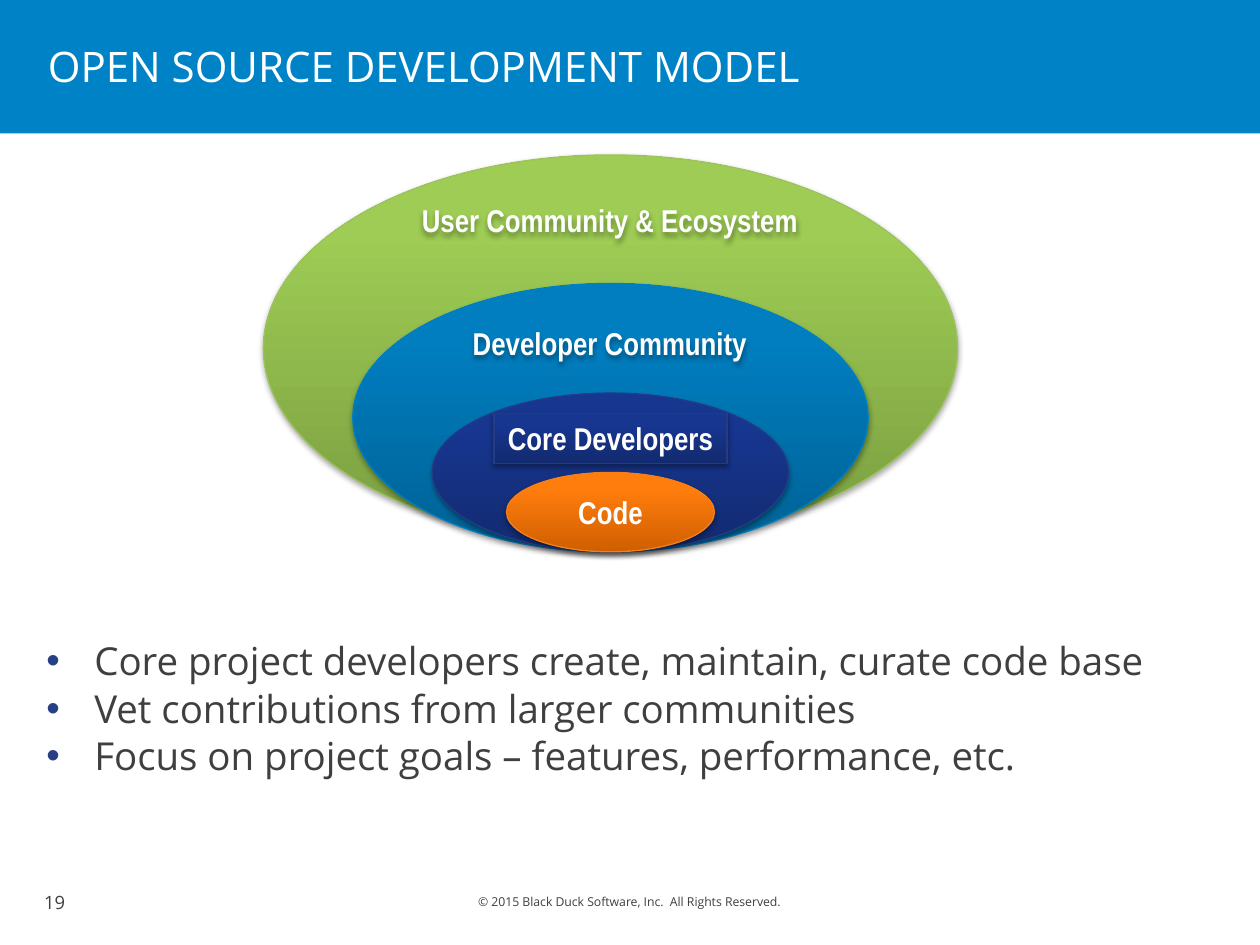
from dataclasses import dataclass

from lxml.etree import SubElement
from pptx import Presentation
from pptx.dml.color import RGBColor
from pptx.enum.shapes import MSO_SHAPE
from pptx.enum.text import MSO_ANCHOR, MSO_AUTO_SIZE, PP_ALIGN
from pptx.oxml.ns import qn
from pptx.util import Inches, Pt


@dataclass(frozen=True)
class Theme:
    heading_font: str = "Open Sans"
    label_font: str = "Arial Narrow"
    band: str = "0082C6"
    white: str = "FFFFFF"
    ink: str = "3F3F3F"
    bullet: str = "263F86"
    green: tuple = ("7A9D41", "9ECC54", "A0CF52", "9DC260")
    blue: tuple = ("006194", "007EC0", "007FC1", "007FC2")
    navy: tuple = ("122A6F", "173690", "153593", "233C85")
    orange: tuple = ("CF5F00", "FF7D0D", "FF7D0F", "F57F1A")
    title_size: float = 24
    body_size: float = 22
    label_size: float = 18
    number_size: float = 10.5
    copyright_size: float = 7


class SlideBuilder:
    """Draws themed elements on one slide."""

    def __init__(self, deck, theme):
        self.theme = theme
        self.page = deck.slides.add_slide(deck.slide_layouts[5])

    def style(self, paragraph, size, color, font=None, bold=False, align=PP_ALIGN.LEFT):
        paragraph.alignment = align
        paragraph.font.name = font or self.theme.heading_font
        paragraph.font.size = Pt(size)
        paragraph.font.bold = bold
        paragraph.font.color.rgb = RGBColor.from_string(color)

    def cast_shadow(self, shape):
        shape.shadow.inherit = False
        effects = shape._element.spPr.find(qn("a:effectLst"))
        shadow = SubElement(effects, qn("a:outerShdw"), blurRad=str(Pt(3.1)),
                            dist=str(Pt(1.8)), dir="5400000", rotWithShape="0")
        color = SubElement(shadow, qn("a:srgbClr"), val="000000")
        SubElement(color, qn("a:alpha"), val="35000")

    def band(self, *place):
        shape = self.page.shapes.add_shape(MSO_SHAPE.RECTANGLE, *map(Inches, place))
        shape.shadow.inherit = False
        shape.fill.solid()
        shape.fill.fore_color.rgb = RGBColor.from_string(self.theme.band)
        shape.line.fill.background()

    def title(self, text, *place):
        box = self.page.shapes.title
        self.page.shapes._spTree.append(box._element)
        box.left, box.top, box.width, box.height = map(Inches, place)
        frame = box.text_frame
        frame.text = text
        frame.auto_size = MSO_AUTO_SIZE.NONE
        frame.vertical_anchor = MSO_ANCHOR.MIDDLE
        self.style(frame.paragraphs[0], self.theme.title_size, self.theme.white)

    def gradient_shape(self, kind, palette, *place):
        shape = self.page.shapes.add_shape(kind, *map(Inches, place))
        *stops, outline = palette
        shape.fill.gradient()
        shape.fill.gradient_angle = 90
        stop_list = shape._element.spPr.find(qn("a:gradFill")).find(qn("a:gsLst"))
        stop_list.clear()
        for position, color in zip((0, 80, 100), stops):
            stop = SubElement(stop_list, qn("a:gs"), pos=str(position * 1000))
            SubElement(stop, qn("a:srgbClr"), val=color)
        shape.line.color.rgb = RGBColor.from_string(outline)
        shape.line.width = Pt(0.75)
        self.cast_shadow(shape)
        return shape

    def label(self, shape, text, wrap=False):
        frame = shape.text_frame
        frame.word_wrap = wrap
        frame.vertical_anchor = MSO_ANCHOR.MIDDLE if wrap else MSO_ANCHOR.TOP
        frame.text = text
        self.style(frame.paragraphs[0], self.theme.label_size, self.theme.white,
                   self.theme.label_font, True, PP_ALIGN.CENTER)

    def floating_label(self, text, *place):
        box = self.page.shapes.add_textbox(*map(Inches, place))
        self.cast_shadow(box)
        self.label(box, text)

    def bullets(self, lines, *place):
        frame = self.page.shapes.add_textbox(*map(Inches, place)).text_frame
        frame.word_wrap = True
        for index, line in enumerate(lines):
            paragraph = frame.add_paragraph() if index else frame.paragraphs[0]
            paragraph.text = line
            paragraph.space_before = Pt(0.6 if index else 0)
            properties = paragraph._p.get_or_add_pPr()
            properties.set("marL", str(Inches(0.38)))
            properties.set("indent", str(Inches(-0.38)))
            color = SubElement(properties, qn("a:buClr"))
            SubElement(color, qn("a:srgbClr"), val=self.theme.bullet)
            SubElement(properties, qn("a:buFont"), typeface="Arial")
            SubElement(properties, qn("a:buChar"), char="•")
            self.style(paragraph, self.theme.body_size, self.theme.ink)

    def footer(self, text, size, align, *place):
        frame = self.page.shapes.add_textbox(*map(Inches, place)).text_frame
        frame.word_wrap = True
        frame.margin_left = frame.margin_right = Inches(0.04)
        frame.margin_top = frame.margin_bottom = Inches(0.04)
        frame.text = text
        self.style(frame.paragraphs[0], size, self.theme.ink, align=align)


def main():
    deck = Presentation()
    deck.slide_width, deck.slide_height = Inches(10), Inches(7.5)
    theme = Theme()
    slide = SlideBuilder(deck, theme)

    slide.band(0, 0, 10, 1.06)
    slide.title("OPEN SOURCE DEVELOPMENT MODEL", 0.28, 0.21, 7.56, 0.63)
    slide.footer("19", theme.number_size, PP_ALIGN.LEFT, 0.31, 7.03, 1.65, 0.31)
    slide.footer("© 2015 Black Duck Software, Inc.  All Rights Reserved.",
                 theme.copyright_size, PP_ALIGN.CENTER, 2.95, 7.06, 4.09, 0.24)

    slide.gradient_shape(MSO_SHAPE.OVAL, theme.green, 2.09, 1.23, 5.51, 3.07)
    slide.floating_label("User Community & Ecosystem", 3.23, 1.55, 3.22, 0.4)
    slide.gradient_shape(MSO_SHAPE.OVAL, theme.blue, 2.8, 2.25, 4.09, 2.13)
    slide.floating_label("Developer Community", 3.64, 2.52, 2.4, 0.4)
    slide.gradient_shape(MSO_SHAPE.OVAL, theme.navy, 3.43, 3.12, 2.83, 1.26)
    core = slide.gradient_shape(MSO_SHAPE.RECTANGLE, theme.navy, 3.92, 3.28, 1.85, 0.4)
    slide.label(core, "Core Developers")
    code = slide.gradient_shape(MSO_SHAPE.OVAL, theme.orange, 4.02, 3.75, 1.65, 0.63)
    slide.label(code, "Code", wrap=True)

    slide.bullets((
        "Core project developers create, maintain, curate code base",
        "Vet contributions from larger communities",
        "Focus on project goals – features, performance, etc.",
    ), 0.27, 5.01, 9.45, 1.97)
    deck.save("out.pptx")


if __name__ == "__main__":
    main()
